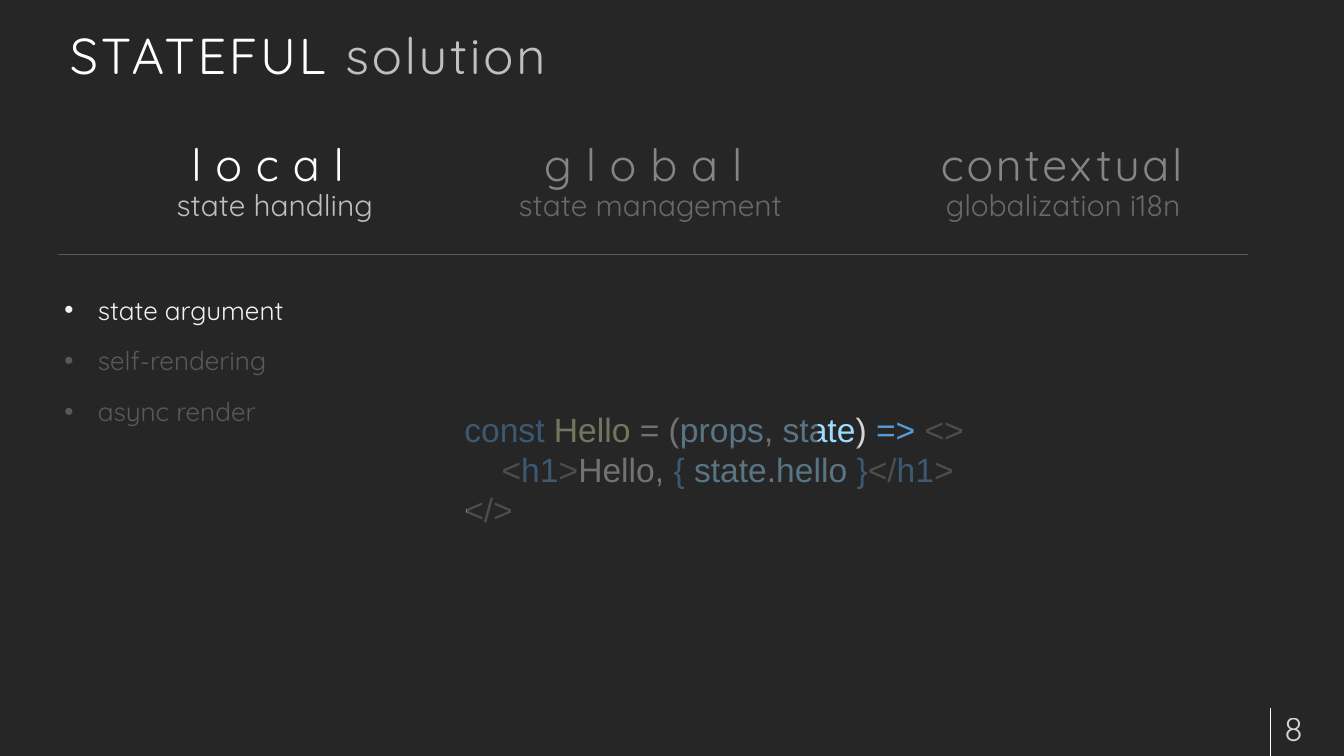
from pptx import Presentation
from pptx.dml.color import RGBColor
from pptx.enum.shapes import MSO_CONNECTOR as Connector, MSO_SHAPE as Shape
from pptx.enum.text import MSO_ANCHOR as Anchor, PP_ALIGN as Align
from pptx.oxml.ns import qn
from pptx.util import Cm, Pt
from lxml.etree import SubElement

BACKGROUND = RGBColor(0x26, 0x26, 0x26)
WHITE = RGBColor(0xFF, 0xFF, 0xFF)
OFF_WHITE = RGBColor(0xF2, 0xF2, 0xF2)
SILVER = RGBColor(0xBF, 0xBF, 0xBF)
DIM = RGBColor(0x59, 0x59, 0x59)
KEYWORD = RGBColor(0x56, 0x9C, 0xD6)
FUNCTION = RGBColor(0xDC, 0xDC, 0xAA)
PLAIN = RGBColor(0xD4, 0xD4, 0xD4)
VARIABLE = RGBColor(0x9C, 0xDC, 0xFE)
TAG = RGBColor(0x80, 0x80, 0x80)

HEADINGS = [
    (5.21, 10.36, "local", "state handling", 15),
    (19.02, 11.13, "global", "state management", 15),
    (33.6, 13.18, "contextual", "globalization i18n", 3),
]
TOPICS = [("state argument", OFF_WHITE), ("self-rendering", DIM), ("async render", DIM)]
CODE = [
    [("const ", KEYWORD), ("Hello", FUNCTION), (" = (", PLAIN), ("props", VARIABLE),
     (",", PLAIN), (" state", VARIABLE), (") ", PLAIN), ("=> ", KEYWORD), ("<>", TAG)],
    [("    ", PLAIN), ("<", TAG), ("h1", KEYWORD), (">", TAG), ("Hello, ", PLAIN),
     ("{ ", KEYWORD), ("state", VARIABLE), (".", PLAIN), ("hello ", VARIABLE),
     ("}", KEYWORD), ("</", TAG), ("h1", KEYWORD), (">", TAG)],
    [("</>", TAG)],
]
VEILS = [
    (17.3, 14.48, 13.61, 2.51),
    (18.54, 4.6, 27.61, 4.62),
    (34.72, 14.33, 11.76, 2.51),
    (17.65, 16.92, 22.53, 2.87),
]


def set_opacity(fill, percent):
    color = fill._xPr.find(qn("a:solidFill"))[0]
    SubElement(color, qn("a:alpha"), val=str(percent * 1000))


class Painter:
    text_font = "Quicksand"
    code_font = "Arial"

    def __init__(self, page):
        self.page = page

    def frame(self, left, top, width, height, anchor=Anchor.TOP, inset=(0.25, 0.13)):
        box = self.page.shapes.add_textbox(Cm(left), Cm(top), Cm(width), Cm(height))
        frame = box.text_frame
        frame.word_wrap = True
        frame.vertical_anchor = anchor
        frame.margin_left = frame.margin_right = Cm(inset[0])
        frame.margin_top = frame.margin_bottom = Cm(inset[1])
        return frame

    def paragraphs(self, frame, count):
        return [frame.paragraphs[0]] + [frame.add_paragraph() for _ in range(count - 1)]

    def set_font(self, para, size=None, name=None):
        para.font.name = name or self.text_font
        if size:
            para.font.size = Pt(size)

    def span(self, para, text, color, size=None, spacing=0):
        span = para.add_run()
        span.text = text
        span.font.color.rgb = color
        if size:
            span.font.size = Pt(size)
        if spacing:
            span._r.get_or_add_rPr().set("spc", str(spacing * 100))
        return span

    def title(self, strong, soft):
        para = self.frame(2.18, 0, 45.72, 3.43, Anchor.BOTTOM, (0.46, 0.23)).paragraphs[0]
        self.set_font(para, 54)
        self.span(para, strong, WHITE, spacing=3)
        self.span(para, soft, SILVER, spacing=3)

    def page_number(self, number):
        para = self.frame(48.08, 26.77, 2.92, 1.52, Anchor.MIDDLE, (0.46, 0.23)).paragraphs[0]
        self.set_font(para, 36)
        span = self.span(para, number, WHITE)
        set_opacity(span.font.fill, 80)

    def heading(self, left, width, name, detail, spacing):
        para = self.frame(left, 5.26, width, 3.28).paragraphs[0]
        para.alignment = Align.CENTER
        para.line_spacing = 0.9
        self.set_font(para)
        self.span(para, name, WHITE, 48, spacing)
        para.add_line_break()
        self.span(para, detail, SILVER, 32)

    def bullets(self, topics):
        frame = self.frame(2.18, 10.39, 12.07, 12.5)
        for index, (para, topic) in enumerate(zip(self.paragraphs(frame, len(topics)), topics)):
            para.line_spacing = 1.5
            if index:
                para.space_before = Pt(4)
            properties = para._p.get_or_add_pPr()
            properties.set("marL", str(Cm(1.27)))
            properties.set("indent", str(-Cm(1.27)))
            SubElement(properties, qn("a:buFont"), typeface="Arial")
            SubElement(properties, qn("a:buChar"), char="•")
            self.set_font(para, 28)
            self.span(para, *topic)

    def code(self, lines):
        frame = self.frame(17.3, 15.32, 22.91, 4.88)
        for para, line in zip(self.paragraphs(frame, len(lines)), lines):
            self.set_font(para, 36, self.code_font)
            for text, color in line:
                self.span(para, text, color)

    def line(self, x1, y1, x2, y2, color):
        line = self.page.shapes.add_connector(
            Connector.STRAIGHT, Cm(x1), Cm(y1), Cm(x2), Cm(y2))
        line.line.color.rgb = color
        line.line.width = Pt(0.75)
        SubElement(line._element.spPr, qn("a:effectLst"))

    def veil(self, left, top, width, height):
        """Dim what lies below with a translucent rectangle."""
        veil = self.page.shapes.add_shape(
            Shape.RECTANGLE, Cm(left), Cm(top), Cm(width), Cm(height))
        veil.shadow.inherit = False
        veil.line.fill.background()
        veil.fill.solid()
        veil.fill.fore_color.rgb = BACKGROUND
        set_opacity(veil.fill, 56)


def main():
    deck = Presentation()
    deck.slide_width, deck.slide_height = Cm(50.8), Cm(28.58)
    page = deck.slides.add_slide(deck.slide_layouts[6])
    page.background.fill.solid()
    page.background.fill.fore_color.rgb = BACKGROUND

    painter = Painter(page)
    painter.line(48.01, 26.77, 48.01, 28.58, WHITE)
    painter.title("STATEFUL ", "solution")
    painter.page_number("8")
    painter.bullets(TOPICS)
    painter.line(2.18, 9.63, 47.19, 9.63, DIM)
    for heading in HEADINGS:
        painter.heading(*heading)
    painter.code(CODE)
    for veil in VEILS:
        painter.veil(*veil)
    deck.save("out.pptx")


if __name__ == "__main__":
    main()
